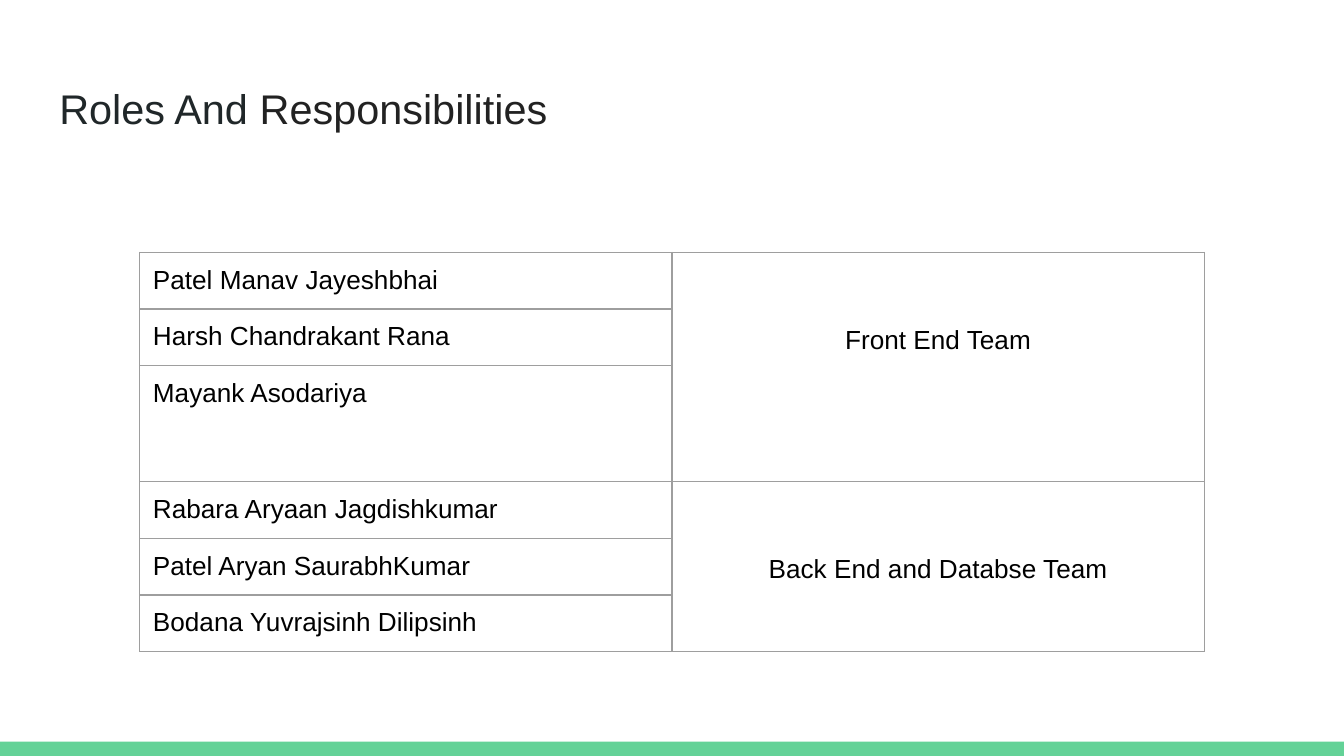
from dataclasses import dataclass

from lxml import etree
from pptx import Presentation
from pptx import util as u
from pptx.dml.color import RGBColor
from pptx.enum import shapes, text
from pptx.oxml.ns import qn


@dataclass(frozen=True)
class Theme:
    font: str = "Arial"
    title_size: float = 22.2
    cell_size: float = 14
    title_start: str = "202729"
    title_end: str = "222222"
    ink: str = "000000"
    border: str = "9E9E9E"
    border_width: float = 0.75
    accent: str = "63D297"


@dataclass(frozen=True)
class Team:
    role: str
    members: tuple[str, ...]


THEME = Theme()
TEAMS = (
    Team("Front End Team",
         ("Patel Manav Jayeshbhai", "Harsh Chandrakant Rana", "Mayank Asodariya")),
    Team("Back End and Databse Team",
         ("Rabara Aryaan Jagdishkumar", "Patel Aryan SaurabhKumar",
          "Bodana Yuvrajsinh Dilipsinh")),
)
SLIDE_WIDTH, SLIDE_HEIGHT = u.Cm(25.4), u.Cm(14.29)
INSET = u.Cm(0.25)
ROLE_TOP = u.Cm(1.39)
COLUMN_WIDTH = u.Cm(10.06)
ROW_HEIGHT, TALL_ROW_HEIGHT = u.Cm(1.07), u.Cm(2.17)
TALL_ROW = 2


def style_run(run, size: float, color: str) -> None:
    run.font.name = THEME.font
    run.font.size = u.Pt(size)
    run.font.bold = False
    run.font.color.rgb = RGBColor.from_string(color)


def add_borders(cell) -> None:
    properties = cell._tc.get_or_add_tcPr()
    for side in ("a:lnL", "a:lnR", "a:lnT", "a:lnB"):
        line = etree.SubElement(properties, qn(side), w=str(u.Pt(THEME.border_width)))
        fill = etree.SubElement(line, qn("a:solidFill"))
        etree.SubElement(fill, qn("a:srgbClr"), val=THEME.border)


def write_cell(cell, words: str, align: text.PP_ALIGN, top: int = INSET) -> None:
    cell.margin_left = cell.margin_right = cell.margin_bottom = INSET
    cell.margin_top = top
    cell.vertical_anchor = text.MSO_ANCHOR.TOP
    paragraph = cell.text_frame.paragraphs[0]
    paragraph.text = words
    paragraph.alignment = align
    style_run(paragraph.runs[0], THEME.cell_size, THEME.ink)


def add_accent_bar(slide) -> None:
    height = u.Cm(0.27)
    bar = slide.shapes.add_shape(shapes.MSO_SHAPE.RECTANGLE, 0,
                                 SLIDE_HEIGHT - height, SLIDE_WIDTH, height)
    bar.shadow.inherit = False
    bar.fill.solid()
    bar.fill.fore_color.rgb = RGBColor.from_string(THEME.accent)
    bar.line.fill.background()


def write_title(slide) -> None:
    title = slide.shapes.title
    title.left, title.top = u.Cm(0.87), u.Cm(1.24)
    title.width, title.height = u.Cm(23.67), u.Cm(1.6)
    frame = title.text_frame
    frame.margin_left = frame.margin_right = INSET
    frame.margin_top = frame.margin_bottom = INSET
    frame.vertical_anchor = text.MSO_ANCHOR.MIDDLE
    heading = frame.paragraphs[0]
    heading.alignment = text.PP_ALIGN.LEFT
    for words, color in (("Roles And ", THEME.title_start),
                         ("Responsibilities", THEME.title_end)):
        run = heading.add_run()
        run.text = words
        style_run(run, THEME.title_size, color)


def add_team_table(slide, teams: tuple[Team, ...]) -> None:
    row_count = sum(len(team.members) for team in teams)
    heights = [TALL_ROW_HEIGHT if row == TALL_ROW else ROW_HEIGHT
               for row in range(row_count)]
    roster = slide.shapes.add_table(row_count, 2, u.Cm(2.64), u.Cm(4.77),
                                    2 * COLUMN_WIDTH, sum(heights)).table
    roster.first_row = roster.horz_banding = False
    for column in roster.columns:
        column.width = COLUMN_WIDTH
    for row, height in zip(roster.rows, heights):
        row.height = height
    for cell in roster.iter_cells():
        add_borders(cell)
        cell.fill.background()

    # Members on the left, their shared role merged on the right
    first = 0
    for team in teams:
        last = first + len(team.members) - 1
        role = roster.cell(first, 1)
        role.merge(roster.cell(last, 1))
        write_cell(role, team.role, text.PP_ALIGN.CENTER, ROLE_TOP)
        for row, member in enumerate(team.members, first):
            write_cell(roster.cell(row, 0), member, text.PP_ALIGN.LEFT)
        first = last + 1


def main() -> None:
    deck = Presentation()
    deck.slide_width, deck.slide_height = SLIDE_WIDTH, SLIDE_HEIGHT
    slide = deck.slides.add_slide(deck.slide_layouts[5])
    add_accent_bar(slide)
    write_title(slide)
    add_team_table(slide, TEAMS)
    deck.save("out.pptx")


if __name__ == "__main__":
    main()
